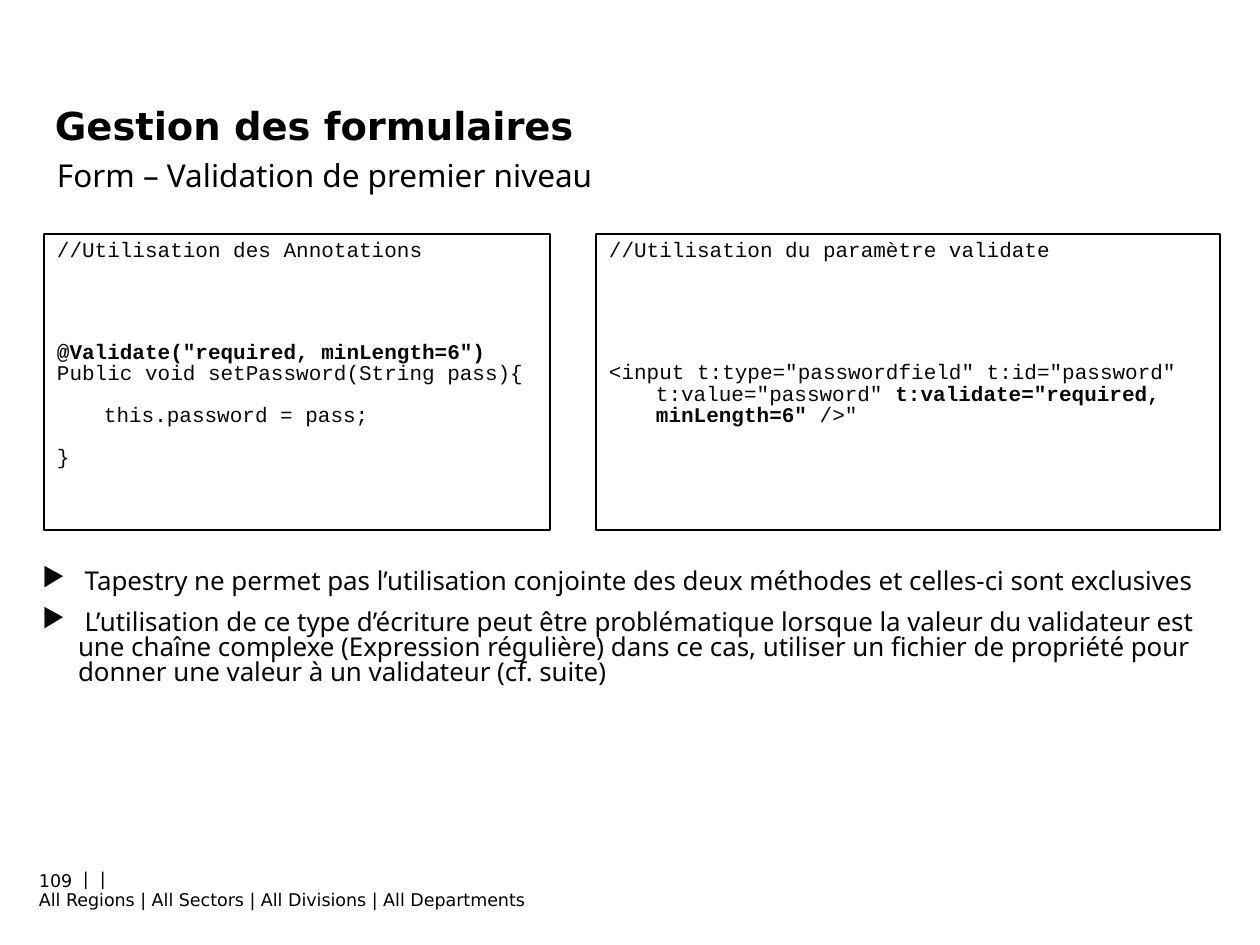
import pptx
import pptx.dml.color
import pptx.enum.shapes
import pptx.enum.text
import pptx.oxml.ns
import pptx.util
from dataclasses import dataclass
from lxml import etree

PX = 914400 // 126  # EMU per px


@dataclass(frozen=True)
class Theme:
    heading: str = "DejaVu Sans"
    body: str = "Noto Sans"
    code: str = "Courier New"
    black: str = "000000"
    ink: str = "080808"
    title_size: float = 22
    subtitle_size: float = 18
    body_size: float = 14.8
    code_size: float = 12
    footer_size: float = 10


THEME = Theme()
CODE_LINE = 11.55  # pitch of the code lines in points
HANG = 47          # code indent in px


def px(n):
    return pptx.util.Emu(n * PX)


def rgb(value):
    return pptx.dml.color.RGBColor.from_string(value)


def set_frame(sp, inset_y=6, anchor=pptx.enum.text.MSO_ANCHOR.TOP):
    tf = sp.text_frame
    tf.word_wrap = True
    tf.margin_left = tf.margin_right = px(13)
    tf.margin_top = tf.margin_bottom = px(inset_y)
    tf.vertical_anchor = anchor
    return tf


def add_box(slide, x, y, w, h, **frame):
    sp = slide.shapes.add_textbox(px(x), px(y), px(w), px(h))
    return set_frame(sp, **frame)


def next_paragraph(tf, first):
    p = tf.paragraphs[0] if first else tf.add_paragraph()
    p.alignment = pptx.enum.text.PP_ALIGN.LEFT
    return p


def add_run(p, text, font, size, color, bold=False):
    r = p.add_run()
    r.text = text
    r.font.name = font
    r.font.size = pptx.util.Pt(size)
    r.font.bold = bold
    r.font.color.rgb = rgb(color)


def add_ppr_child(parent, tag, **attrs):
    return etree.SubElement(parent, pptx.oxml.ns.qn(tag), **attrs)


def set_indent(p, left, first=0):
    ppr = p._p.get_or_add_pPr()
    ppr.set("marL", str(px(left)))
    ppr.set("indent", str(px(first)))
    return ppr


def add_label(slide, box, text, font, size, bold=False, **frame):
    p = next_paragraph(add_box(slide, *box, **frame), True)
    add_run(p, text, font, size, THEME.black, bold)


def add_code_panel(slide, x, w, lines):
    """Each line is (blank lines before, indent, first-line indent, runs)."""
    sp = slide.shapes.add_shape(pptx.enum.shapes.MSO_SHAPE.RECTANGLE,
                                px(x), px(234), px(w), px(296))
    sp.shadow.inherit = False
    sp.fill.background()
    sp.line.color.rgb = rgb(THEME.black)
    sp.line.width = pptx.util.Pt(0.75)
    tf = set_frame(sp)
    for i, (gap, left, first, runs) in enumerate(lines):
        p = next_paragraph(tf, i == 0)
        p.line_spacing = 0.85
        p.space_before = pptx.util.Pt(round(gap * CODE_LINE, 1))
        set_indent(p, left, first)
        for text, bold in runs:
            add_run(p, text, THEME.code, THEME.code_size, THEME.ink, bold)


def add_bullets(slide, items):
    tf = add_box(slide, 29, 571, 1191, 220, inset_y=0)
    for i, text in enumerate(items):
        p = next_paragraph(tf, i == 0)
        p.line_spacing = 0.8
        p.space_before = pptx.util.Pt(4.5 if i else 0)
        p.space_after = pptx.util.Pt(4.5)
        ppr = set_indent(p, 36, -36)
        color = add_ppr_child(ppr, "a:buClr")
        add_ppr_child(color, "a:srgbClr", val=THEME.ink)
        add_ppr_child(ppr, "a:buChar", char="▶")
        add_run(p, text, THEME.body, THEME.body_size, THEME.ink)


def add_footer(slide, lines, stops):
    tf = add_box(slide, 26, 862, 794, 58)
    for i, text in enumerate(lines):
        p = next_paragraph(tf, i == 0)
        tabs = add_ppr_child(p._p.get_or_add_pPr(), "a:tabLst")
        for stop in stops:
            add_ppr_child(tabs, "a:tab", pos=str(px(stop)), algn="l")
        add_run(p, text, THEME.heading, THEME.footer_size, THEME.black)


def main():
    prs = pptx.Presentation()
    prs.slide_width, prs.slide_height = px(1260), px(945)
    slide = prs.slides.add_slide(prs.slide_layouts[6])
    middle = pptx.enum.text.MSO_ANCHOR.MIDDLE

    # Headings
    add_label(slide, (42, 101, 1197, 49), "Gestion des formulaires",
              THEME.heading, THEME.title_size, bold=True, anchor=middle)
    add_label(slide, (44, 150, 662, 37), "Form – Validation de premier niveau",
              THEME.body, THEME.subtitle_size)

    # Code panels
    add_code_panel(slide, 44, 506, [
        (0, HANG, -HANG, [("//Utilisation des Annotations", False)]),
        (4, HANG, -HANG, [('@Validate("required, minLength=6")', True)]),
        (0, HANG, -HANG, [("Public void setPassword(String pass){", False)]),
        (1, HANG, 0, [("this.password = pass;", False)]),
        (1, HANG, -HANG, [("}", False)]),
    ])
    add_code_panel(slide, 596, 624, [
        (0, HANG, -HANG, [("//Utilisation du paramètre validate", False)]),
        (5, HANG, -HANG, [
            ('<input t:type="passwordfield" t:id="password" '
             't:value="password" ', False),
            ('t:validate="required, minLength=6"', True),
            (' />"', False)]),
    ])

    # Remarks
    add_bullets(slide, [
        " Tapestry ne permet pas l’utilisation conjointe des deux méthodes "
        "et celles-ci sont exclusives",
        " L’utilisation de ce type d’écriture peut être problématique lorsque "
        "la valeur du validateur est une chaîne complexe (Expression "
        "régulière) dans ce cas, utiliser un fichier de propriété pour donner "
        "une valeur à un validateur (cf. suite)",
    ])

    # Footer and page number
    add_footer(slide, [
        "\t|\t|",
        "All Regions | All Sectors | All Divisions | All Departments",
    ], stops=(44, 61))
    add_label(slide, (26, 856, 88, 50), "109", THEME.heading,
              THEME.footer_size, anchor=middle)

    prs.save("out.pptx")


if __name__ == "__main__":
    main()
